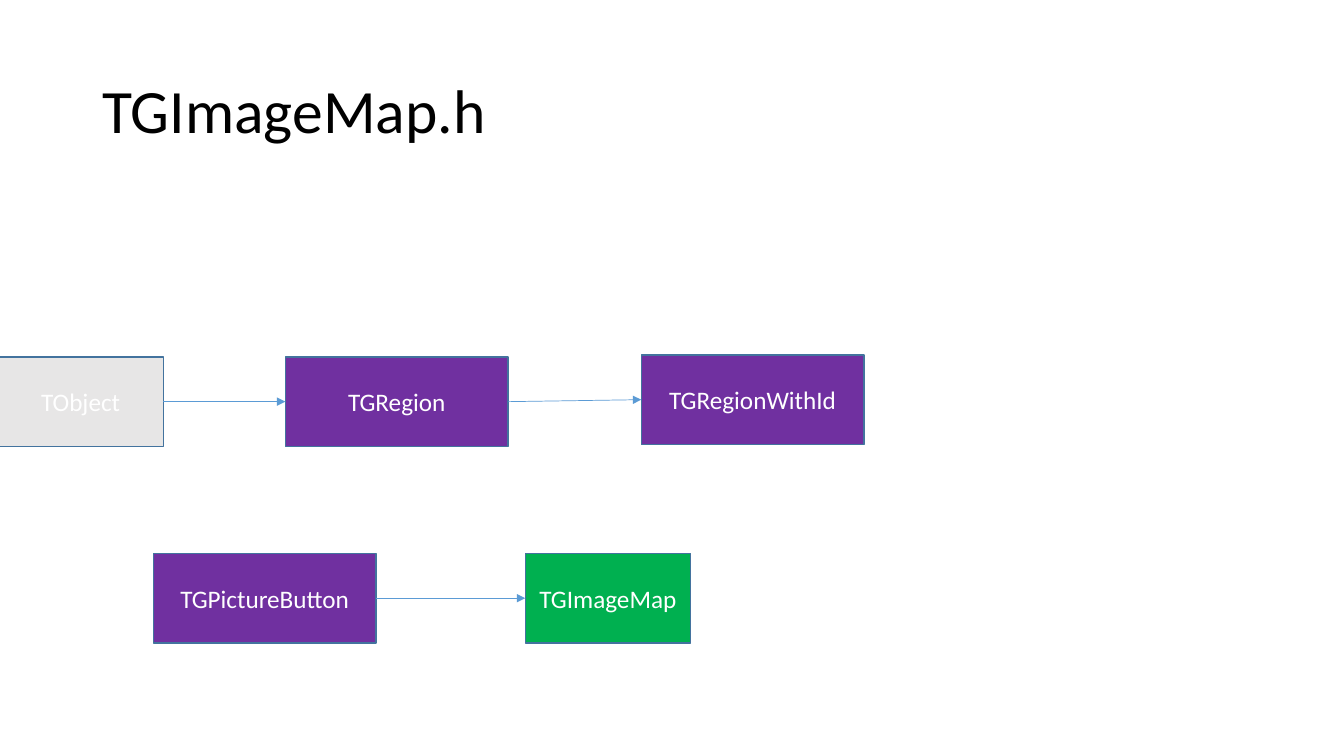
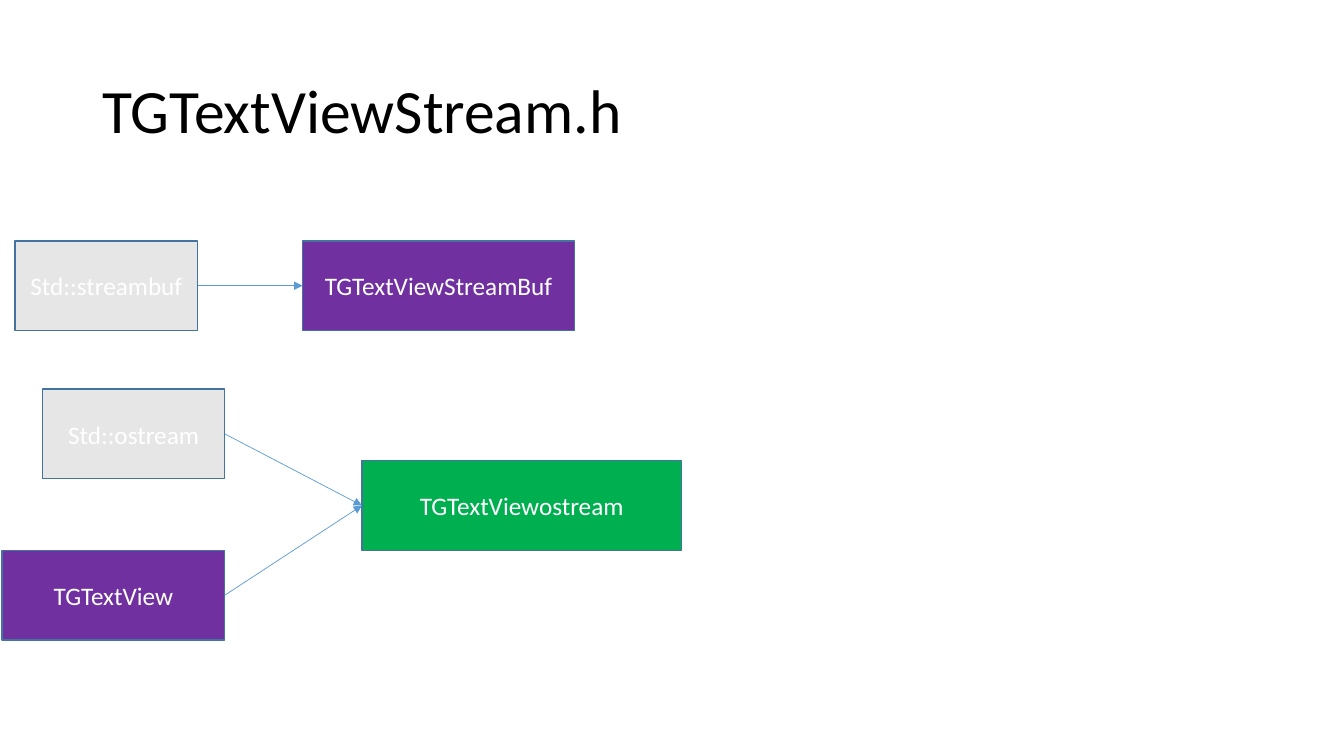
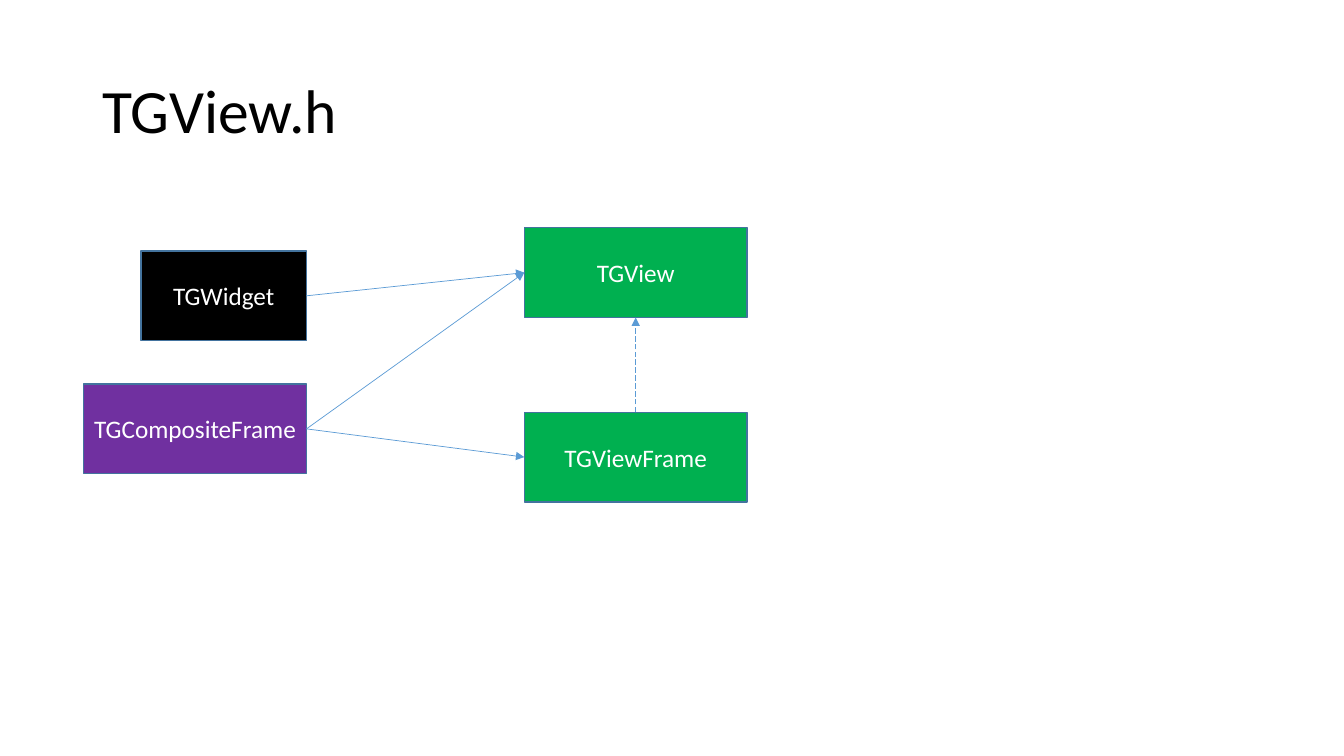
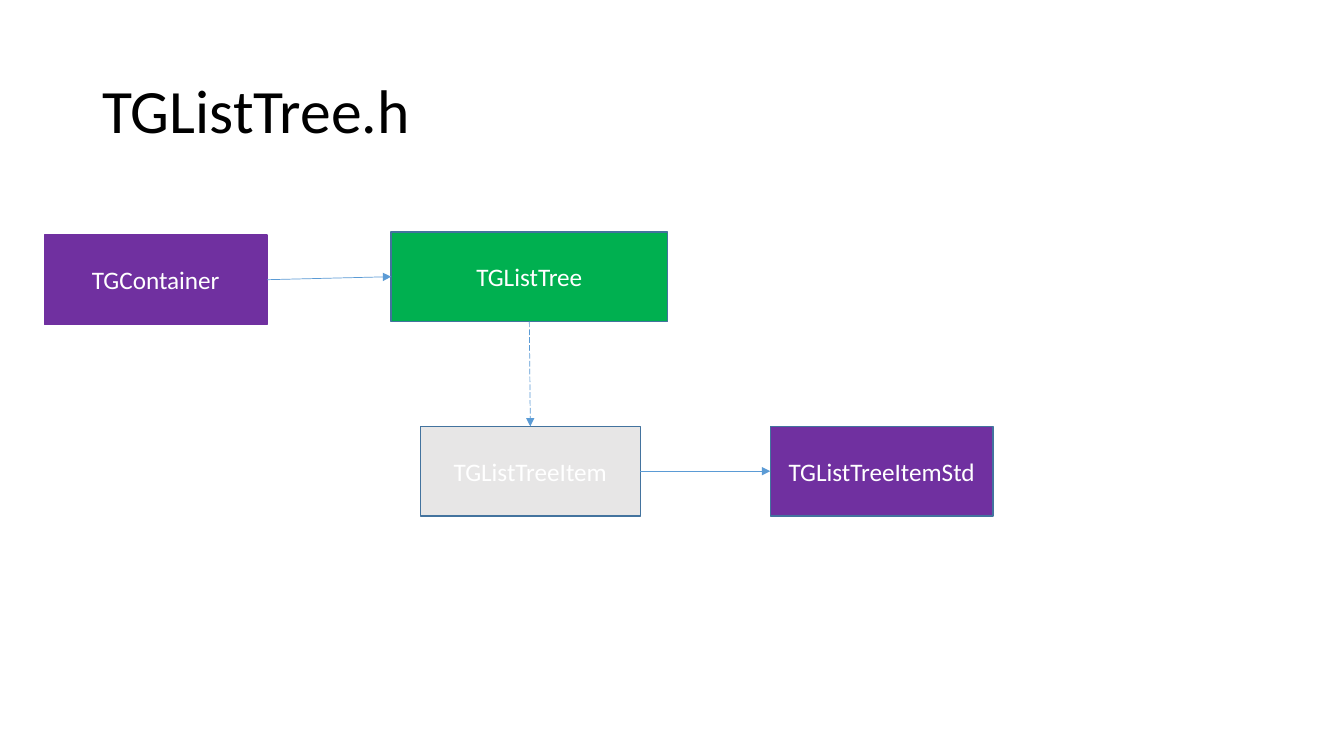
from dataclasses import dataclass

from lxml import etree
from pptx import Presentation
from pptx.dml.color import RGBColor
from pptx.enum import dml, shapes, text
from pptx.oxml.ns import qn
from pptx import util as u

PX = 9144  # EMU per px, 100 px to the inch
BOX_H = 89
TOP, LEFT, BOTTOM, RIGHT = range(4)  # connection sites


@dataclass(frozen=True)
class Theme:
    font: str = "Calibri"
    title_size: int = 44
    box_size: int = 18
    title: str = "000000"
    label: str = "FFFFFF"
    border: str = "43739E"
    arrow: str = "5B9BD5"
    border_width: float = 1
    arrow_width: float = 0.5
    green: str = "00B050"
    purple: str = "7030A0"
    grey: str = "E7E6E6"
    black: str = "000000"


T = Theme()


@dataclass(frozen=True)
class Box:
    name: str
    x: int
    y: int
    fill: str = T.purple
    w: int = 221
    border: str = T.border


@dataclass(frozen=True)
class Arrow:
    start: str
    end: str
    start_site: int = RIGHT
    end_site: int = LEFT
    dashed: bool = False


@dataclass(frozen=True)
class Diagram:
    title: str
    boxes: list[Box]
    arrows: list[Arrow]


DIAGRAMS = [
    Diagram(
        "TGImageMap.h",
        [
            Box("TGImageMap", 521, 549, T.green, 164),
            Box("TObject", -2, 354, T.grey, 164),
            Box("TGRegion", 283, 354),
            Box("TGRegionWithId", 636, 352),
            Box("TGPictureButton", 152, 549),
        ],
        [
            Arrow("TObject", "TGRegion"),
            Arrow("TGRegion", "TGRegionWithId"),
            Arrow("TGPictureButton", "TGImageMap"),
        ],
    ),
    Diagram(
        "TGTextViewStream.h",
        [
            Box("TGTextViewostream", 359, 457, T.green, 317),
            Box("Std::streambuf", 15, 239, T.grey, 181),
            Box("TGTextViewStreamBuf", 300, 239, w=270),
            Box("TGTextView", 2, 546),
            Box("Std::ostream", 42, 386, T.grey, 181),
        ],
        [
            Arrow("Std::streambuf", "TGTextViewStreamBuf"),
            Arrow("TGTextView", "TGTextViewostream"),
            Arrow("Std::ostream", "TGTextViewostream"),
        ],
    ),
    Diagram(
        "TGView.h",
        [
            Box("TGWidget", 140, 249, T.black, 164),
            Box("TGCompositeFrame", 83, 381),
            Box("TGView", 520, 226, T.green),
            Box("TGViewFrame", 520, 409, T.green),
        ],
        [
            Arrow("TGCompositeFrame", "TGView"),
            Arrow("TGCompositeFrame", "TGViewFrame"),
            Arrow("TGWidget", "TGView"),
            Arrow("TGViewFrame", "TGView", TOP, BOTTOM, dashed=True),
        ],
    ),
    Diagram(
        "TGListTree.h",
        [
            Box("TGContainer", 44, 233, border=T.purple),
            Box("TGListTree", 388, 230, T.green, 274),
            Box("TGListTreeItem", 417, 423, T.grey, 218),
            Box("TGListTreeItemStd", 764, 423),
        ],
        [
            Arrow("TGContainer", "TGListTree"),
            Arrow("TGListTreeItem", "TGListTreeItemStd"),
            Arrow("TGListTree", "TGListTreeItem", BOTTOM, TOP, dashed=True),
        ],
    ),
]


def rgb(value: str) -> RGBColor:
    return RGBColor.from_string(value)


def write(sp, content: str, size: int, color: str, align) -> None:
    """Put one vertically centred line of text in a shape."""
    tf = sp.text_frame
    tf.text = content
    tf.word_wrap = True
    tf.vertical_anchor = text.MSO_ANCHOR.MIDDLE
    p = tf.paragraphs[0]
    p.alignment = align
    r = p.runs[0]
    r.font.name = T.font
    r.font.size = u.Pt(size)
    r.font.color.rgb = rgb(color)


def add_title(s, content: str) -> None:
    sp = s.shapes.add_textbox(92 * PX, 40 * PX, 1150 * PX, 145 * PX)
    write(sp, content, T.title_size, T.title, text.PP_ALIGN.LEFT)
    sp.text_frame.paragraphs[0].line_spacing = 0.9


def add_box(s, box: Box):
    sp = s.shapes.add_shape(shapes.MSO_SHAPE.RECTANGLE,
                            box.x * PX, box.y * PX, box.w * PX, BOX_H * PX)
    sp.shadow.inherit = False
    sp.fill.solid()
    sp.fill.fore_color.rgb = rgb(box.fill)
    sp.line.color.rgb = rgb(box.border)
    sp.line.width = u.Pt(T.border_width)
    write(sp, box.name, T.box_size, T.label, text.PP_ALIGN.CENTER)
    # Narrow margins keep the longest class names on one line
    sp.text_frame.margin_left = sp.text_frame.margin_right = 5 * PX
    return sp


def add_arrow(s, arrow: Arrow, placed: dict) -> None:
    cx = s.shapes.add_connector(shapes.MSO_CONNECTOR.STRAIGHT, 0, 0, 0, 0)
    cx.begin_connect(placed[arrow.start], arrow.start_site)
    cx.end_connect(placed[arrow.end], arrow.end_site)
    cx.line.color.rgb = rgb(T.arrow)
    cx.line.width = u.Pt(T.arrow_width)
    if arrow.dashed:
        cx.line.dash_style = dml.MSO_LINE.LONG_DASH
    # Arrowhead, and no shadow
    sp_pr = cx._element.spPr
    etree.SubElement(sp_pr.find(qn("a:ln")), qn("a:tailEnd"), type="triangle")
    etree.SubElement(sp_pr, qn("a:effectLst"))


def add_diagram(prs, diagram: Diagram) -> None:
    s = prs.slides.add_slide(prs.slide_layouts[6])
    add_title(s, diagram.title)
    placed = {box.name: add_box(s, box) for box in diagram.boxes}
    for arrow in diagram.arrows:
        add_arrow(s, arrow, placed)


def main() -> None:
    prs = Presentation()
    prs.slide_width, prs.slide_height = 1333 * PX, 750 * PX
    for diagram in DIAGRAMS:
        add_diagram(prs, diagram)
    prs.save("out.pptx")


if __name__ == "__main__":
    main()
